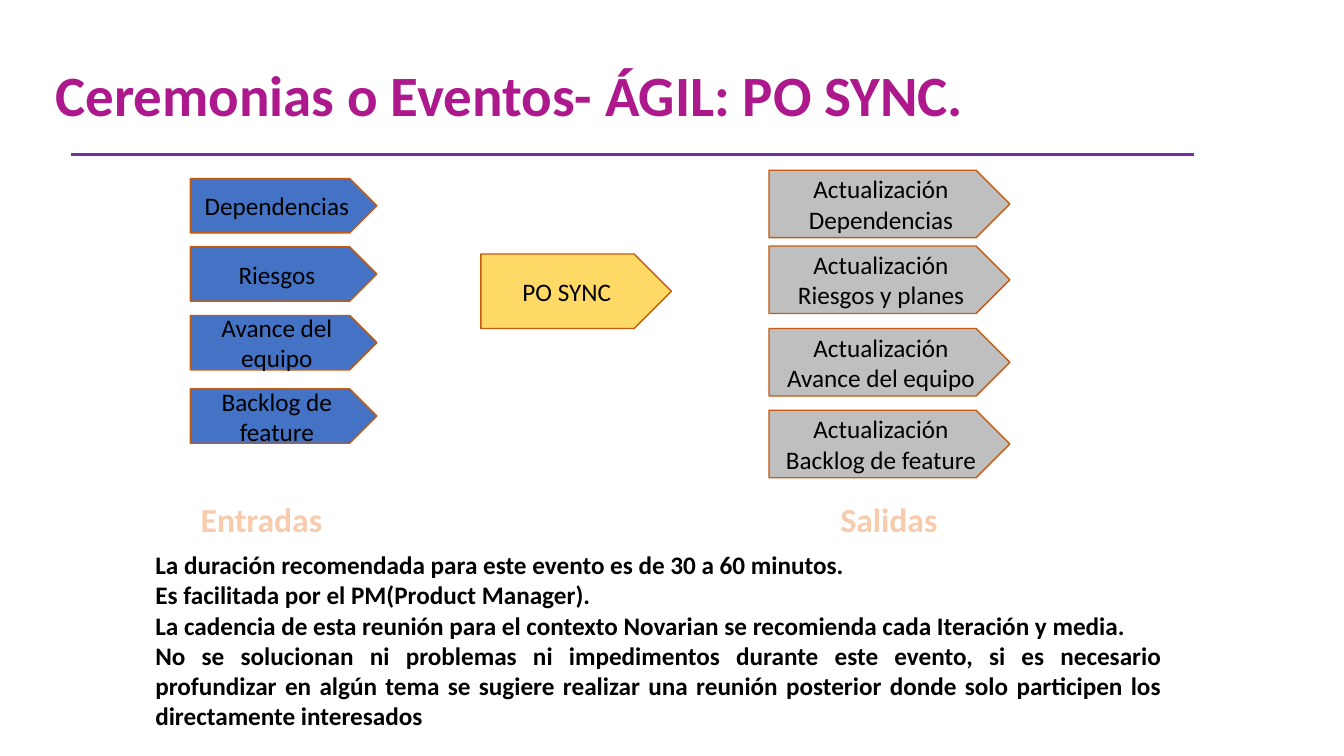
from dataclasses import dataclass
from typing import Any

from lxml import etree
from pptx import Presentation
from pptx.dml.color import RGBColor
from pptx.enum.shapes import MSO_CONNECTOR, MSO_SHAPE
from pptx.enum.text import MSO_ANCHOR, MSO_AUTO_SIZE, PP_ALIGN
from pptx.oxml.ns import qn
from pptx.util import Cm, Pt

PENTAGON = MSO_SHAPE.PENTAGON
STRAIGHT = MSO_CONNECTOR.STRAIGHT
LEFT, CENTER, JUSTIFY = PP_ALIGN.LEFT, PP_ALIGN.CENTER, PP_ALIGN.JUSTIFY
TOP, MIDDLE = MSO_ANCHOR.TOP, MSO_ANCHOR.MIDDLE
NO_FIT, GROW = MSO_AUTO_SIZE.NONE, MSO_AUTO_SIZE.SHAPE_TO_FIT_TEXT

MAGENTA, PURPLE, BLACK = "AD198D", "7030A0", "000000"
BLUE, YELLOW, GREY, BROWN = "4472C4", "FFD966", "BFBFBF", "C55A11"
PEACH, ORANGE = "F8CBAD", "ED7D31"


@dataclass(frozen=True)
class Box:
    """Place on the slide, in centimetres."""
    left: float
    top: float
    width: float
    height: float

    def emu(self) -> tuple[int, int, int, int]:
        return Cm(self.left), Cm(self.top), Cm(self.width), Cm(self.height)


@dataclass(frozen=True)
class ArrowGroup:
    """Arrows of one size and colour; each step has its text and top."""
    left: float
    width: float
    height: float
    fill: str
    steps: tuple[tuple[str, float], ...]


@dataclass(frozen=True)
class Label:
    text: str
    box: Box


ARROW_GROUPS = (
    ArrowGroup(4.8, 4.7, 1.37, BLUE, (
        ("Dependencias", 4.5),
        ("Riesgos", 6.22),
        ("Avance del equipo", 7.95),
        ("Backlog de feature", 9.8),
    )),
    ArrowGroup(12.12, 4.8, 1.88, YELLOW, (("PO SYNC", 6.4),)),
    ArrowGroup(19.38, 6.07, 1.7, GREY, (
        ("Actualización Dependencias", 4.29),
        ("Actualización Riesgos y planes", 6.2),
        ("Actualización Avance del equipo", 8.28),
        ("Actualización Backlog de feature", 10.34),
    )),
)

LABELS = (
    Label("Entradas", Box(4.8, 12.45, 3.58, 1.27)),
    Label("Salidas", Box(20.93, 12.45, 2.95, 1.27)),
)

EVENT_RULES = (
    "La duración recomendada para este evento es de 30 a 60 minutos.",
    "Es facilitada por el PM(Product Manager).",
    "La cadencia de esta reunión para el contexto Novarian se recomienda "
    "cada Iteración y media.",
    "No se solucionan ni problemas ni impedimentos durante este evento, si es "
    "necesario profundizar en algún tema se sugiere realizar una reunión "
    "posterior donde solo participen los directamente interesados",
)


def rgb(colour: str) -> RGBColor:
    return RGBColor.from_string(colour)


def apply(target: Any, values: dict[str, Any]) -> None:
    for name, value in values.items():
        setattr(target, name, value)


def write(shape: Any, lines: tuple[str, ...], size: float, colour: str,
          bold: bool, frame: dict[str, Any], paragraph: dict[str, Any]) -> None:
    """Fill a shape with one formatted paragraph per line."""
    text_frame = shape.text_frame
    text_frame.text = "\n".join(lines)
    apply(text_frame, frame)
    for item in text_frame.paragraphs:
        apply(item, paragraph)
        for run in item.runs:
            apply(run.font, {"name": "Calibri", "size": Pt(size), "bold": bold})
            run.font.color.rgb = rgb(colour)


def place(shape: Any, box: Box) -> None:
    apply(shape, dict(zip(("left", "top", "width", "height"), box.emu())))


def add_title(slide: Any) -> None:
    title = slide.shapes.title
    place(title, Box(1.14, 1.8, 29.62, 1.55))
    write(title, ("Ceremonias o Eventos- ÁGIL: PO SYNC.",), 40.7, MAGENTA, True,
          {"vertical_anchor": MIDDLE, "auto_size": NO_FIT, "word_wrap": True},
          {"alignment": LEFT, "line_spacing": 0.7})


def add_rule(slide: Any) -> None:
    rule = slide.shapes.add_connector(
        STRAIGHT, Cm(1.8), Cm(3.89), Cm(30.1), Cm(3.89))
    rule.line.color.rgb = rgb(PURPLE)
    rule.line.width = Pt(2.25)
    etree.SubElement(rule._element.spPr, qn("a:effectLst"))


def add_arrows(slide: Any, group: ArrowGroup) -> None:
    for text, top in group.steps:
        box = Box(group.left, top, group.width, group.height)
        arrow = slide.shapes.add_shape(PENTAGON, *box.emu())
        arrow.shadow.inherit = False
        arrow.fill.solid()
        arrow.fill.fore_color.rgb = rgb(group.fill)
        arrow.line.color.rgb = rgb(BROWN)
        arrow.line.width = Pt(1)
        write(arrow, (text,), 18, BLACK, False,
              {"vertical_anchor": MIDDLE, "word_wrap": True},
              {"alignment": CENTER})


def add_label(slide: Any, label: Label) -> None:
    box = slide.shapes.add_textbox(*label.box.emu())
    write(box, (label.text,), 24, PEACH, True,
          {"word_wrap": False, "auto_size": GROW}, {"alignment": CENTER})
    # Outline of the letters
    properties = box.text_frame.paragraphs[0].runs[0].font._element
    outline = etree.Element(qn("a:ln"), w=str(Pt(1.75)))
    fill = etree.SubElement(outline, qn("a:solidFill"))
    etree.SubElement(fill, qn("a:srgbClr"), val=ORANGE)
    properties.insert(0, outline)


def add_event_rules(slide: Any) -> None:
    body = slide.placeholders[1]
    place(body, Box(3.66, 13.72, 25.88, 4.88))
    write(body, EVENT_RULES, 18, BLACK, True,
          {"vertical_anchor": TOP, "auto_size": GROW, "word_wrap": True},
          {"alignment": JUSTIFY, "space_before": Pt(0)})
    # Plain paragraphs, without bullet or indent
    for item in body.text_frame.paragraphs:
        properties = item._p.get_or_add_pPr()
        properties.set("marL", "0")
        properties.set("indent", "0")
        etree.SubElement(properties, qn("a:buNone"))


def main() -> None:
    deck = Presentation()
    deck.slide_width, deck.slide_height = Cm(33.87), Cm(19.05)
    slide = deck.slides.add_slide(deck.slide_layouts[1])

    # Heading
    add_title(slide)
    add_rule(slide)

    # Inputs, event and outputs
    for group in ARROW_GROUPS:
        add_arrows(slide, group)
    for label in LABELS:
        add_label(slide, label)

    # Rules of the event
    add_event_rules(slide)
    deck.save("out.pptx")


if __name__ == "__main__":
    main()
